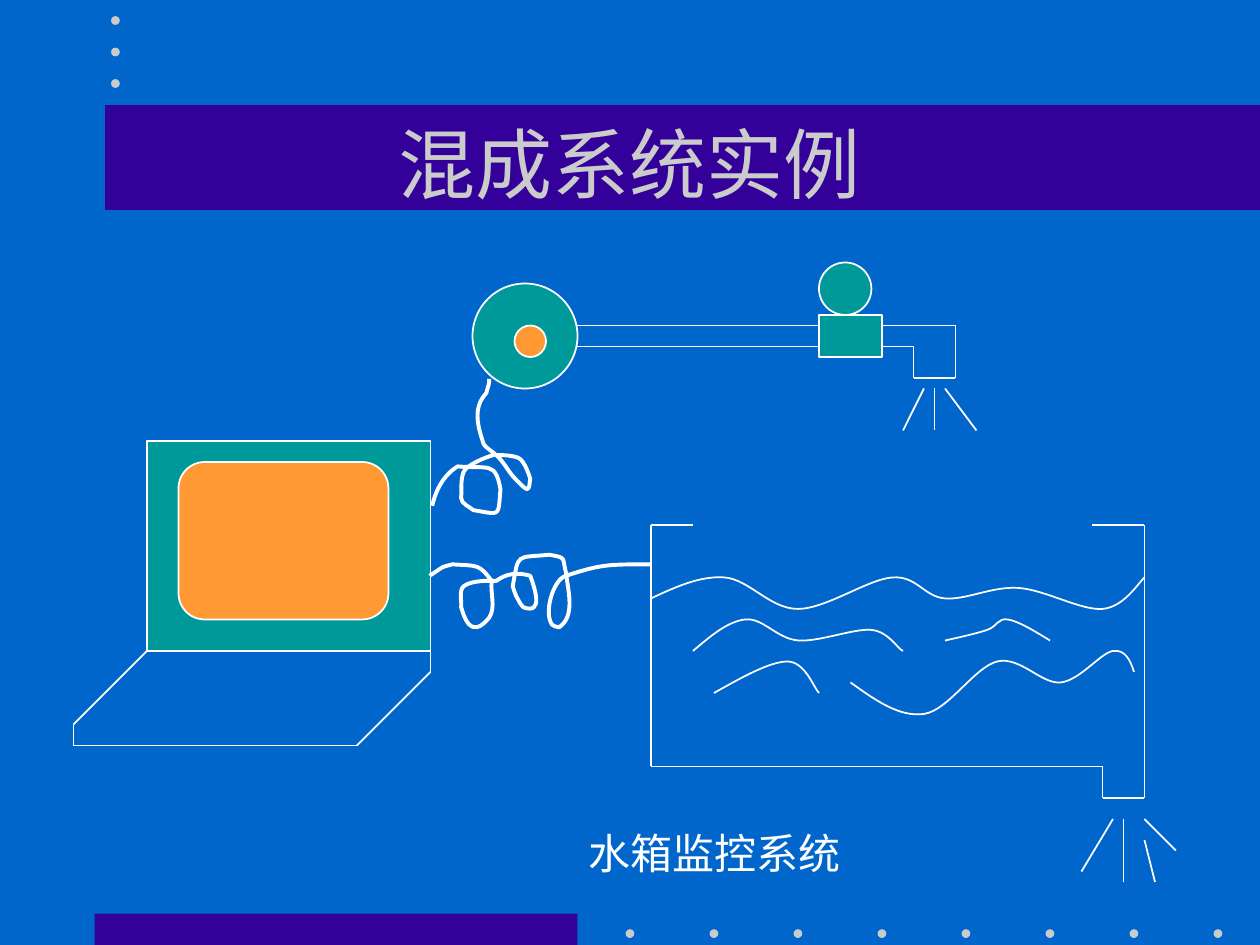
from dataclasses import dataclass
from itertools import pairwise

from lxml.etree import SubElement
from pptx import Presentation
from pptx.dml.color import RGBColor
from pptx.enum.shapes import MSO_CONNECTOR, MSO_SHAPE
from pptx.enum.text import MSO_ANCHOR, PP_ALIGN
from pptx.oxml.ns import qn
from pptx.util import Pt


@dataclass(frozen=True)
class Theme:
    back: RGBColor = RGBColor(0x00, 0x66, 0xCC)
    band: RGBColor = RGBColor(0x33, 0x00, 0x99)
    dot: RGBColor = RGBColor(0xCB, 0xCB, 0xCB)
    ink: RGBColor = RGBColor(0xFF, 0xFF, 0xFF)
    teal: RGBColor = RGBColor(0x00, 0x99, 0x99)
    orange: RGBColor = RGBColor(0xFF, 0x99, 0x33)
    font: str = "Times New Roman"
    title: float = 44
    label: float = 24
    thin: float = 1
    thick: float = 2.25


THEME = Theme()

# Each chain is drawn as straight lines from point to point.
TANK = [
    [(396, 300), (372, 300), (372, 438), (630, 438), (630, 456), (648, 456)],
    [(642, 456), (654, 456), (654, 300), (624, 300)],
]
DRAIN = [
    [(636, 468), (618, 498)], [(642, 468), (642, 504)],
    [(654, 468), (672, 486)], [(654, 480), (660, 504)],
]
PIPE = [
    [(330, 186), (468, 186)], [(330, 198), (468, 198)],
    [(504, 186), (540, 186), (546, 186), (546, 216)],
    [(504, 198), (522, 198), (522, 216), (546, 216)],
]
SPRAY = [
    [(528, 222), (516, 246)], [(534, 222), (534, 246)],
    [(540, 222), (558, 246)],
]
BASE = [
    [(84, 372), (42, 414), (42, 426), (204, 426)],
    [(246, 372), (246, 384), (204, 426)],
]

# Each curve is a start point, then three Bezier points per segment.
WAVES = [
    [(372, 342), (386, 335.5), (400, 329), (414, 330),
     (428, 331), (440, 348), (456, 348), (472, 348), (496, 331), (510, 330),
     (524, 329), (528, 341), (540, 342), (552, 343), (567, 335), (582, 336),
     (597, 337), (618, 349), (630, 348), (642, 347), (650, 334), (654, 330)],
    [(396, 372), (406, 363.5), (416, 355), (426, 354),
     (436, 353), (444, 365), (456, 366), (468, 367), (488, 359), (498, 360),
     (508, 361), (513, 371), (516, 372)],
    [(486, 390), (500, 400), (514, 410), (528, 408),
     (542, 406), (557, 381), (570, 378), (583, 375), (595, 391), (606, 390),
     (617, 389), (629, 373), (636, 372), (643, 371), (646, 377.5), (648, 384)],
    [(540, 366), (549, 364), (558, 362), (564, 360),
     (570, 358), (570, 353), (576, 354), (582, 355), (591, 360.5), (600, 366)],
    [(408, 396), (424, 387), (440, 378), (450, 378),
     (460, 378), (465, 393), (468, 396)],
]
WIRES = [
    [(247, 289), (249, 280), (253.5, 271.5), (261.5, 266.5),
     (279.5, 268), (283, 263.5), (286, 279.5),
     (284.5, 296), (286.5, 294), (270.5, 291.5),
     (268.5, 289.5), (263.5, 288), (263.5, 284.5),
     (264, 279.5), (263, 274.5), (265, 269.5),
     (267, 265.5), (277, 261.5), (282, 260),
     (286.5, 260), (291.5, 260), (296, 261.5),
     (300, 263), (303, 273.5), (303, 273.5),
     (302.5, 276), (303, 278), (301.5, 279.5),
     (300, 280), (293, 272), (293, 272),
     (290, 268.5), (287.5, 263.5), (283.5, 260),
     (281.5, 258), (278.5, 256.5), (276.5, 254),
     (273.5, 245), (269.5, 233.5), (278, 224.5),
     (279.5, 218), (279.5, 221), (279.5, 216.5)],
    [(245.5, 329), (255.5, 322.5), (251.5, 324.5), (258.5, 322.5),
     (273, 323.5), (273.5, 322), (281, 332),
     (280, 339), (283.5, 347), (279.5, 353),
     (268.5, 366.5), (265, 351.5), (263.5, 347),
     (264, 343.5), (262, 337.5), (265, 335),
     (270, 331), (283.5, 332), (283.5, 332),
     (289.5, 327.5), (296, 327), (303, 329),
     (305.5, 336), (311, 351.5), (299, 347),
     (298, 345.5), (296.5, 344.5), (296, 342.5),
     (294.5, 340.5), (293, 335), (293, 335),
     (296.5, 315.5), (294.5, 319), (314, 317),
     (324, 319), (321, 318), (323.5, 327.5),
     (324.5, 337.5), (329, 352), (319.5, 358.5),
     (318, 358), (316, 358), (315.5, 357),
     (310.5, 350.5), (316, 331), (323.5, 329),
     (343.5, 322.5), (347, 322.5), (372, 322.5)],
]


def apply(item, style):
    for name, value in style.items():
        setattr(item, name, value)


def stroke(line, width=THEME.thin):
    line.color.rgb = THEME.ink
    line.width = Pt(width)


def add_form(slide, kind, box, fill, edge=True):
    form = slide.shapes.add_shape(kind, *map(Pt, box))
    form.shadow.inherit = False
    form.fill.solid()
    form.fill.fore_color.rgb = fill
    if edge:
        stroke(form.line)
    else:
        form.line.fill.background()
    return form


def add_lines(slide, chains):
    for chain in chains:
        for start, end in pairwise(chain):
            line = slide.shapes.add_connector(
                MSO_CONNECTOR.STRAIGHT, *map(Pt, start + end))
            stroke(line.line)
            SubElement(line._element.spPr, qn("a:effectLst"))


def add_curve(slide, points, width):
    """Draw the points as a freeform, then join each three as a Bezier."""
    start, *rest = [(Pt(x), Pt(y)) for x, y in points]
    pen = slide.shapes.build_freeform(*start)
    pen.add_line_segments(rest, close=False)
    curve = pen.convert_to_shape()
    curve.shadow.inherit = False
    curve.fill.background()
    stroke(curve.line, width)
    route = next(curve._element.iter(qn("a:path")))
    steps = route.findall(qn("a:lnTo"))
    for first in range(0, len(steps), 3):
        bend = SubElement(route, qn("a:cubicBezTo"))
        for step in steps[first:first + 3]:
            bend.append(step[0])
            route.remove(step)


def add_text(slide, text, box, size, color, align, frame):
    body = slide.shapes.add_textbox(*map(Pt, box)).text_frame
    apply(body, frame)
    para = body.paragraphs[0]
    para.text = text
    para.alignment = align
    apply(para.runs[0].font, {"name": THEME.font, "size": Pt(size)})
    para.runs[0].font.color.rgb = color


def add_decor(slide):
    add_form(slide, MSO_SHAPE.RECTANGLE, (54, 522, 276, 18), THEME.band, False)
    add_form(slide, MSO_SHAPE.RECTANGLE, (60, 60, 660, 60), THEME.band, False)
    spots = [(357.5 + 48 * i, 531) for i in range(8)]
    spots += [(63.5, 9.25 + 18 * i) for i in range(3)]
    for spot in spots:
        add_form(slide, MSO_SHAPE.OVAL, (*spot, 5, 5), THEME.dot, False)


def main():
    deck = Presentation()
    apply(deck, {"slide_width": Pt(720), "slide_height": Pt(540)})
    slide = deck.slides.add_slide(deck.slide_layouts[6])
    slide.background.fill.solid()
    slide.background.fill.fore_color.rgb = THEME.back

    add_decor(slide)
    add_text(slide, "混成系统实例", (54, 48, 612, 90), THEME.title, THEME.dot,
             PP_ALIGN.CENTER,
             {"word_wrap": True, "vertical_anchor": MSO_ANCHOR.MIDDLE})
    add_lines(slide, TANK + DRAIN)
    for wave in WAVES:
        add_curve(slide, wave, THEME.thin)
    add_form(slide, MSO_SHAPE.OVAL, (270, 162, 60, 60), THEME.teal)
    add_form(slide, MSO_SHAPE.OVAL, (294, 186, 18, 18), THEME.orange)
    add_form(slide, MSO_SHAPE.RECTANGLE, (468, 180, 36, 24), THEME.teal)
    add_form(slide, MSO_SHAPE.OVAL, (468, 150, 30, 30), THEME.teal)
    add_lines(slide, PIPE + SPRAY)
    add_form(slide, MSO_SHAPE.RECTANGLE, (84, 252, 162, 120), THEME.teal)
    add_form(slide, MSO_SHAPE.ROUNDED_RECTANGLE, (102, 264, 120, 90),
             THEME.orange)
    add_lines(slide, BASE)
    add_text(slide, "水箱监控系统", (329, 469.5, 158.5, 36), THEME.label,
             THEME.ink, PP_ALIGN.LEFT, {"word_wrap": False})
    for wire in WIRES:
        add_curve(slide, wire, THEME.thick)
    deck.save("out.pptx")


if __name__ == "__main__":
    main()
